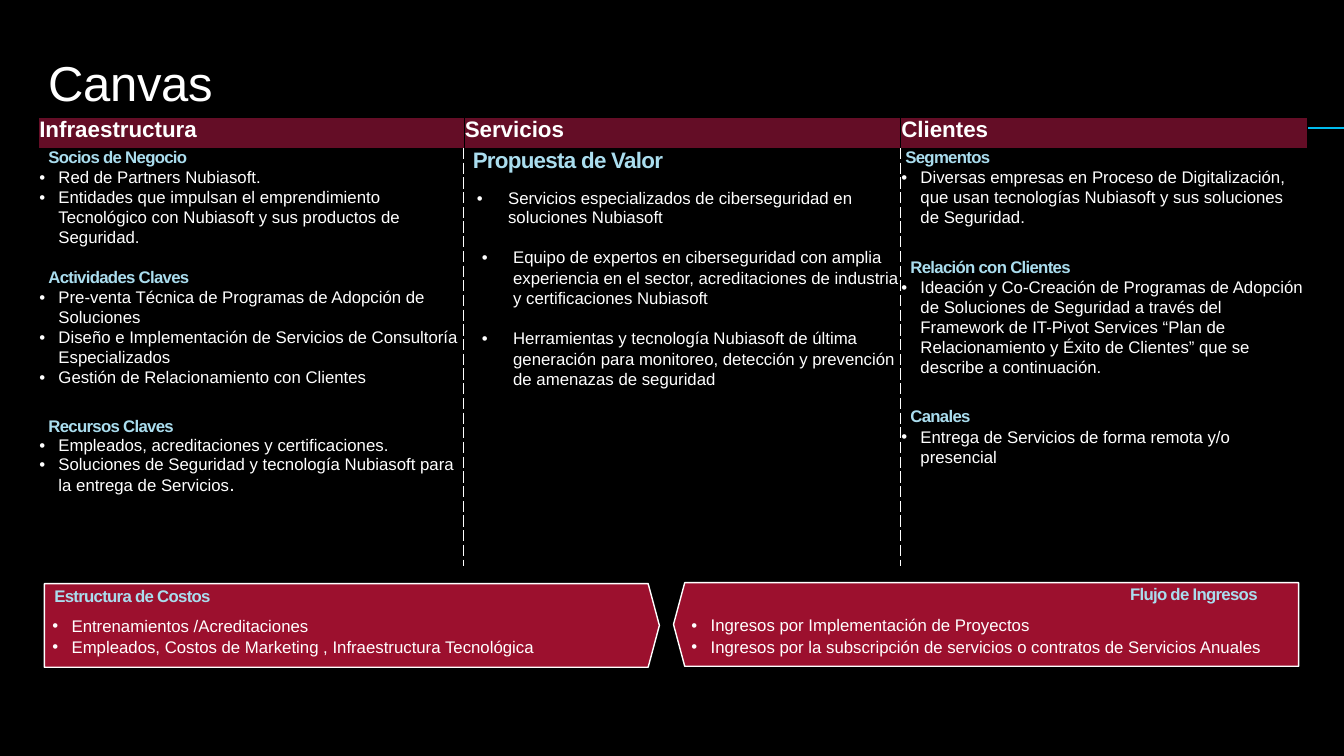
from lxml import etree
from pptx import Presentation
from pptx.dml.color import RGBColor
from pptx.enum import shapes, text
from pptx.oxml import ns
from pptx.util import Inches, Pt

COLORS = {"black": "000000", "white": "FFFFFF", "wine": "640D26",
          "red": "9C102E", "sky": "AADDEE", "cyan": "00BBEE"}


def write(frame, words, para=None, size=12, color="white", bold=False, track=0,
          left=0, hang=0, leading=None, before=0):
    if para is None:
        para = frame.paragraphs[0]
        if para.runs:
            para = frame.add_paragraph()
        para.alignment = text.PP_ALIGN.LEFT
        para.space_before = Pt(before)
        if leading:
            para.line_spacing = leading
        props = para._p.get_or_add_pPr()
        props.set("marL", str(Inches(left)))
        props.set("indent", str(Inches(-hang)))
        if hang:
            etree.SubElement(props, ns.qn("a:buFont")).set("typeface", "Arial")
            etree.SubElement(props, ns.qn("a:buChar")).set("char", "•")
        else:
            etree.SubElement(props, ns.qn("a:buNone"))
    span = para.add_run()
    span.text = words
    span.font.name = "Arial"
    span.font.size = Pt(size)
    span.font.bold = bold
    span.font.color.rgb = RGBColor.from_string(COLORS[color])
    if track:
        span._r.get_or_add_rPr().set("spc", str(int(track * 100)))
    return para


def set_border(cell, side, color, width, dash):
    line = etree.SubElement(cell._tc.get_or_add_tcPr(), ns.qn("a:ln" + side))
    line.set("w", str(Pt(width)))
    fill = etree.SubElement(line, ns.qn("a:solidFill"))
    etree.SubElement(fill, ns.qn("a:srgbClr")).set("val", COLORS[color])
    etree.SubElement(line, ns.qn("a:prstDash")).set("val", dash)


deck = Presentation()
deck.slide_width, deck.slide_height = Inches(13.33), Inches(7.5)
page = deck.slides.add_slide(deck.slide_layouts[5])
page.background.fill.solid()
page.background.fill.fore_color.rgb = RGBColor.from_string(COLORS["black"])

rule = page.shapes.add_connector(shapes.MSO_CONNECTOR.STRAIGHT, Inches(0.51),
                                 Inches(1.27), Inches(13.33), Inches(1.27))
rule.line.color.rgb = RGBColor.from_string(COLORS["cyan"])
rule.line.width = Pt(1)
etree.SubElement(rule._element.spPr, ns.qn("a:effectLst"))

title = page.shapes.title
title.left, title.top, title.width, title.height = [Inches(n) for n in (0.38, 0.47, 1.84, 0.69)]
title.text_frame.word_wrap = False
title.text_frame.auto_size = text.MSO_AUTO_SIZE.NONE
title.text_frame.vertical_anchor = text.MSO_ANCHOR.TOP
write(title.text_frame, "Canvas", size=35, track=-0.3)

heading = dict(color="sky", bold=True, track=-0.5, left=0.09)
bullet = dict(left=0.19, hang=0.19, leading=1.07)
tight = dict(left=0.19, hang=0.19)
value = dict(left=0.48, hang=0.31, leading=1.07, before=14.75)
columns = [
    ("Infraestructura", 4.22, [
        ("Socios de Negocio", heading),
        ("Red de Partners Nubiasoft.", bullet),
        ("Entidades que impulsan el emprendimiento Tecnológico con Nubiasoft y sus productos de Seguridad.", bullet),
        ("Actividades Claves", dict(heading, before=14.5)),
        ("Pre-venta Técnica de Programas de Adopción de Soluciones", bullet),
        ("Diseño e Implementación de Servicios de Consultoría Especializados", bullet),
        ("Gestión de Relacionamiento con Clientes", bullet),
        ("Recursos Claves", dict(heading, before=21.5)),
        ("Empleados, acreditaciones y certificaciones.", tight),
        ("Soluciones de Seguridad y tecnología Nubiasoft para la entrega de Servicios", tight),
    ]),
    ("Servicios", 4.33, [
        ("Propuesta de Valor", dict(heading, size=16, left=0.08)),
        ("Servicios especializados de ciberseguridad en soluciones Nubiasoft",
         dict(left=0.43, hang=0.31, before=11.5)),
        ("Equipo de expertos en ciberseguridad con amplia experiencia en el sector, "
         "acreditaciones de industria y certificaciones Nubiasoft", value),
        ("Herramientas y tecnología Nubiasoft de última generación para monitoreo, "
         "detección y prevención de amenazas de seguridad", value),
    ]),
    ("Clientes", 4.04, [
        ("Segmentos", dict(heading, left=0.04)),
        ("Diversas empresas en Proceso de Digitalización, que usan tecnologías Nubiasoft "
         "y sus soluciones de Seguridad.", bullet),
        ("Relación con Clientes", dict(heading, before=21.75)),
        ("Ideación y Co-Creación de Programas de Adopción de Soluciones de Seguridad a través del "
         "Framework de IT-Pivot Services “Plan de Relacionamiento y Éxito de Clientes” "
         "que se describe a continuación.", bullet),
        ("Canales", dict(heading, before=21.75)),
        ("Entrega de Servicios de forma remota y/o presencial", bullet),
    ]),
]
table = page.shapes.add_table(2, 3, Inches(0.38), Inches(1.16), Inches(12.59), Inches(4.45)).table
table.first_row = table.horz_banding = False
table.rows[0].height, table.rows[1].height = Inches(0.31), Inches(4.14)
for index, (name, width, entries) in enumerate(columns):
    table.columns[index].width = Inches(width)
    for row in range(2):
        cell = table.cell(row, index)
        cell.margin_left = cell.margin_right = Inches(0.01)
        cell.margin_top = cell.margin_bottom = 0
        for side in "LRTB":
            divider = row == 1 and (side == "L" and index > 0 or side == "R" and index < 2)
            style = ("white", 0.5, "sysDash") if divider else ("black", 0.25, "solid")
            set_border(cell, side, *style)
    head, body = table.cell(0, index), table.cell(1, index)
    head.fill.solid()
    head.fill.fore_color.rgb = RGBColor.from_string(COLORS["wine"])
    body.fill.background()
    write(head.text_frame, name, size=16, bold=True)
    for words, style in entries:
        para = write(body.text_frame, words, **style)
    if index == 0:
        write(body.text_frame, ".", para=para, size=14)

arrows = []
for left, top, width, turn in [(0.44, 5.79, 6.1, 0), (6.68, 5.78, 6.2, 180)]:
    arrow = page.shapes.add_shape(shapes.MSO_SHAPE.PENTAGON, Inches(left), Inches(top),
                                  Inches(width), Inches(0.83))
    arrow.adjustments[0] = 0.134
    arrow.rotation = turn
    arrow.shadow.inherit = False
    arrow.fill.solid()
    arrow.fill.fore_color.rgb = RGBColor.from_string(COLORS["red"])
    arrow.line.color.rgb = RGBColor.from_string(COLORS["white"])
    arrow.line.width = Pt(1)
    arrows.append(arrow)

costs = arrows[0].text_frame
costs.word_wrap = True
costs.vertical_anchor = text.MSO_ANCHOR.MIDDLE
costs.margin_left = costs.margin_right = costs.margin_bottom = Inches(0.08)
costs.margin_top = Inches(0.28)
for words in ("Entrenamientos /Acreditaciones",
              "Empleados, Costos de Marketing , Infraestructura Tecnológica"):
    write(costs, words, **bullet)

label = dict(heading, left=0)
notes = [
    (6.76, 6.04, 6.1, 0.52, bullet, [
        "Ingresos por Implementación de Proyectos",
        "Ingresos por la subscripción de servicios o contratos de Servicios Anuales"]),
    (0.44, 5.76, 3.12, 0.3, label, ["Estructura de Costos"]),
    (11.11, 5.74, 2.1, 0.3, label, ["Flujo de Ingresos"]),
]
for left, top, width, height, style, lines in notes:
    box = page.shapes.add_textbox(Inches(left), Inches(top), Inches(width), Inches(height))
    box.text_frame.word_wrap = True
    box.text_frame.auto_size = text.MSO_AUTO_SIZE.SHAPE_TO_FIT_TEXT
    for words in lines:
        write(box.text_frame, words, **style)

deck.save("out.pptx")
